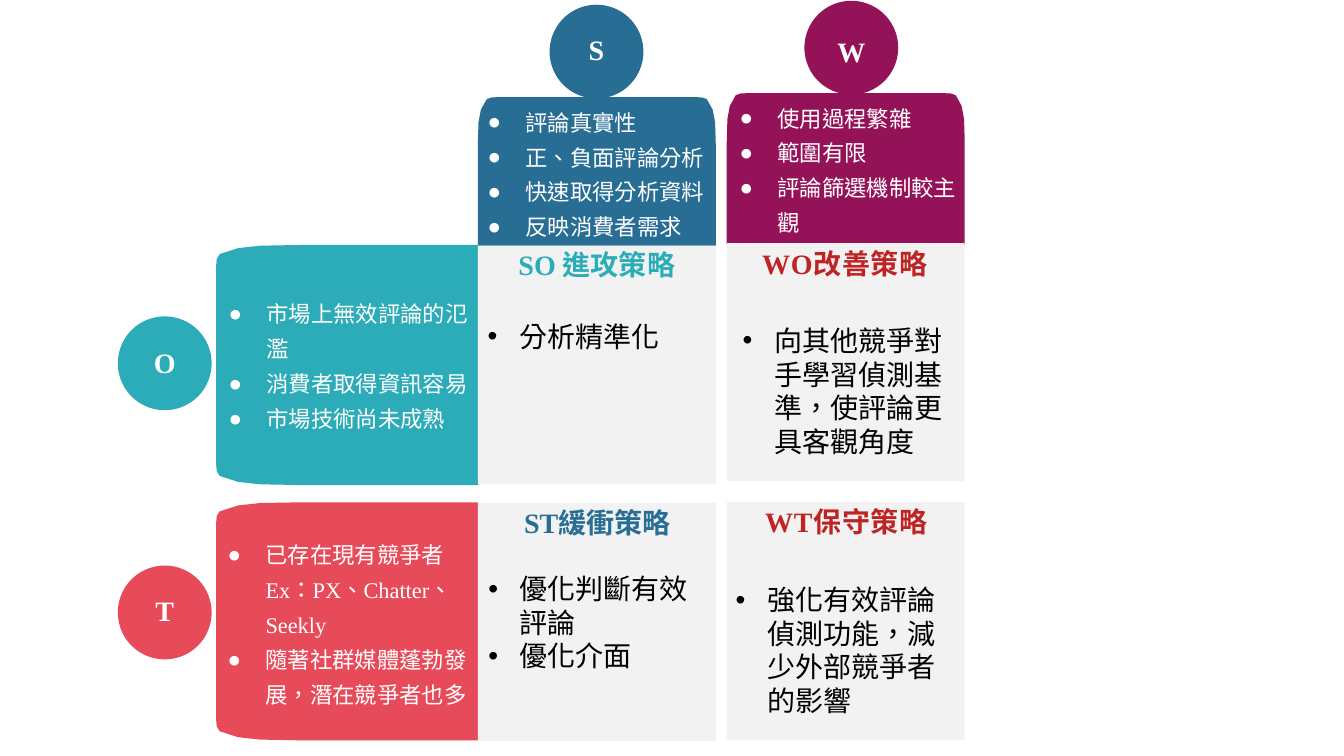
import pptx
import pptx.dml.color
import pptx.enum.lang
import pptx.enum.shapes
import pptx.enum.text
import pptx.oxml
import pptx.util

Pt = pptx.util.Pt
RGBColor = pptx.dml.color.RGBColor
MSO_SHAPE = pptx.enum.shapes.MSO_SHAPE
MSO_ANCHOR = pptx.enum.text.MSO_ANCHOR
MSO_AUTO_SIZE = pptx.enum.text.MSO_AUTO_SIZE
PP_ALIGN = pptx.enum.text.PP_ALIGN
LANGUAGE = pptx.enum.lang.MSO_LANGUAGE_ID.TRADITIONAL_CHINESE

BLUE = RGBColor(0x28, 0x6D, 0x94)
PLUM = RGBColor(0x94, 0x13, 0x58)
TEAL = RGBColor(0x2C, 0xAC, 0xB8)
CORAL = RGBColor(0xE7, 0x4B, 0x59)
RED = RGBColor(0xBF, 0x24, 0x24)
GREY = RGBColor(0xF2, 0xF2, 0xF2)
WHITE = RGBColor(0xFF, 0xFF, 0xFF)
BLACK = RGBColor(0, 0, 0)

CELL = 170
CIRCLE = 67
DRAWINGML = "http://schemas.openxmlformats.org/drawingml/2006/main"

presentation = pptx.Presentation()
presentation.slide_width = Pt(960)
presentation.slide_height = Pt(540)
slide = presentation.slides.add_slide(presentation.slide_layouts[6])
shapes = slide.shapes


def paint(shape, color):
    shape.shadow.inherit = False
    shape.fill.solid()
    shape.fill.fore_color.rgb = color
    shape.line.fill.background()


def write(lines, left, top, width, height, *, color, size=20, bold=False,
          align=PP_ALIGN.LEFT, anchor=MSO_ANCHOR.TOP, inset=None,
          bullet=None, indent=0, line_spacing=None, tracking=0):
    """Add a text box with one paragraph per line; bulleted boxes fit their text."""
    box = shapes.add_textbox(Pt(left), Pt(top), Pt(width), Pt(height))
    frame = box.text_frame
    frame.word_wrap = True
    frame.vertical_anchor = anchor
    if bullet:
        frame.auto_size = MSO_AUTO_SIZE.SHAPE_TO_FIT_TEXT
    if inset is not None:
        frame.margin_left = frame.margin_right = Pt(inset)
        frame.margin_top = frame.margin_bottom = Pt(inset)
    for index, line in enumerate(lines):
        paragraph = frame.paragraphs[0] if index == 0 else frame.add_paragraph()
        paragraph.alignment = align
        if line_spacing:
            paragraph.line_spacing = line_spacing
        if bullet:
            properties = paragraph._p.get_or_add_pPr()
            properties.set("marL", str(Pt(indent)))
            properties.set("indent", str(-Pt(indent)))
            for mark in ('buFont xmlns:a="{}" typeface="Arial"',
                         'buChar xmlns:a="{}" char="' + bullet + '"'):
                properties.append(pptx.oxml.parse_xml(f"<a:{mark.format(DRAWINGML)}/>"))
        run = paragraph.add_run()
        run.text = line
        run.font.name = "Times New Roman"
        run.font.size = Pt(size)
        run.font.bold = bold
        run.font.color.rgb = color
        run.font.language_id = LANGUAGE
        if tracking:
            run._r.get_or_add_rPr().set("spc", str(round(tracking * 100)))


# Half of the tab outline, in percent of (breadth, depth), then its mirror image
near_half = [(0, 100), (0, 32), (0.3, 17), (1.3, 8.5), (3.8, 1.4), (5.8, 0.3), (9.3, 0)]
tab_outline = near_half + [(100 - across, deep) for across, deep in near_half[::-1]]

# Tabs: left, top, width, height, colour, opens to the right
tabs = [
    (341.3, 69.3, CELL, 106.2, BLUE, False),
    (519.1, 66.5, CELL, 108.5, PLUM, False),
    (154.3, 175, 187.5, 171.5, TEAL, True),
    (154.3, 358.8, 187, CELL, CORAL, True),
]
for left, top, width, height, color, sideways in tabs:
    corners = [(deep, across) if sideways else (across, deep)
               for across, deep in tab_outline]
    outline = [(Pt(left + x * width / 100), Pt(top + y * height / 100))
               for x, y in corners]
    builder = shapes.build_freeform(*outline[0])
    builder.add_line_segments(outline[1:], close=True)
    paint(builder.convert_to_shape(), color)

for left, top in [(341.3, 175.6), (519.1, 173.7), (341.3, 359.3), (519.1, 358.7)]:
    paint(shapes.add_shape(MSO_SHAPE.RECTANGLE, Pt(left), Pt(top), Pt(CELL), Pt(CELL)), GREY)

# Circles: letter, left, top, top of the letter, colour
circles = [
    ("S", 392.6, 3.4, 17.3, BLUE),
    ("W", 574.6, 0.6, 19.2, PLUM),
    ("O", 84.2, 226, 241.2, TEAL),
    ("T", 84.2, 404, 418.5, CORAL),
]
for letter, left, top, letter_top, color in circles:
    paint(shapes.add_shape(MSO_SHAPE.OVAL, Pt(left), Pt(top), Pt(CIRCLE), Pt(CIRCLE)), color)
    write([letter], left + 17, letter_top, 33, 35.5, color=WHITE, bold=True,
          align=PP_ALIGN.CENTER, anchor=MSO_ANCHOR.MIDDLE, inset=2)

headings = [
    ("SO 進攻策略", 341.3, 174.6, TEAL, 0),
    ("WO改善策略", 518.6, 173.8, RED, 0.5),
    ("ST緩衝策略", 341.7, 358.7, BLUE, 0),
    ("WT保守策略", 519.6, 358, RED, 0.5),
]
for heading, left, top, color, tracking in headings:
    write([heading], left, top, CELL, 24, color=color, bold=True,
          align=PP_ALIGN.CENTER, inset=2, tracking=tracking)

strategies = [
    (["分析精準化"], 341.3, 224.6, 31.5),
    (["向其他競爭對手學習偵測基準，使評論更具客觀角度"], 523.4, 227.5, 104.5),
    (["優化判斷有效評論", "優化介面"], 341.7, 404.8, 80),
    (["強化有效評論偵測功能，減少外部競爭者的影響"], 518.4, 412.6, 104.5),
]
for lines, left, top, height in strategies:
    write(lines, left, top, CELL, height, color=BLACK, bullet="•", indent=22.5)

factors = [
    (["評論真實性", "正、負面評論分析", "快速取得分析資料", "反映消費者需求"],
     341.3, 68.4, 170.6, 111),
    (["使用過程繁雜", "範圍有限", "評論篩選機制較主觀"], 521.3, 65.5, 169.5, 108),
    (["市場上無效評論的氾濫", "消費者取得資訊容易", "市場技術尚未成熟"],
     156.3, 205.2, 187, 111),
    (["已存在現有競爭者Ex：PX、Chatter、Seekly", "隨著社群媒體蓬勃發展，潛在競爭者也多"],
     155.6, 377.3, 186, 133),
]
for lines, left, top, width, height in factors:
    write(lines, left, top, width, height, color=WHITE, size=16,
          bullet="●", indent=27, line_spacing=1.3)

presentation.save("out.pptx")
